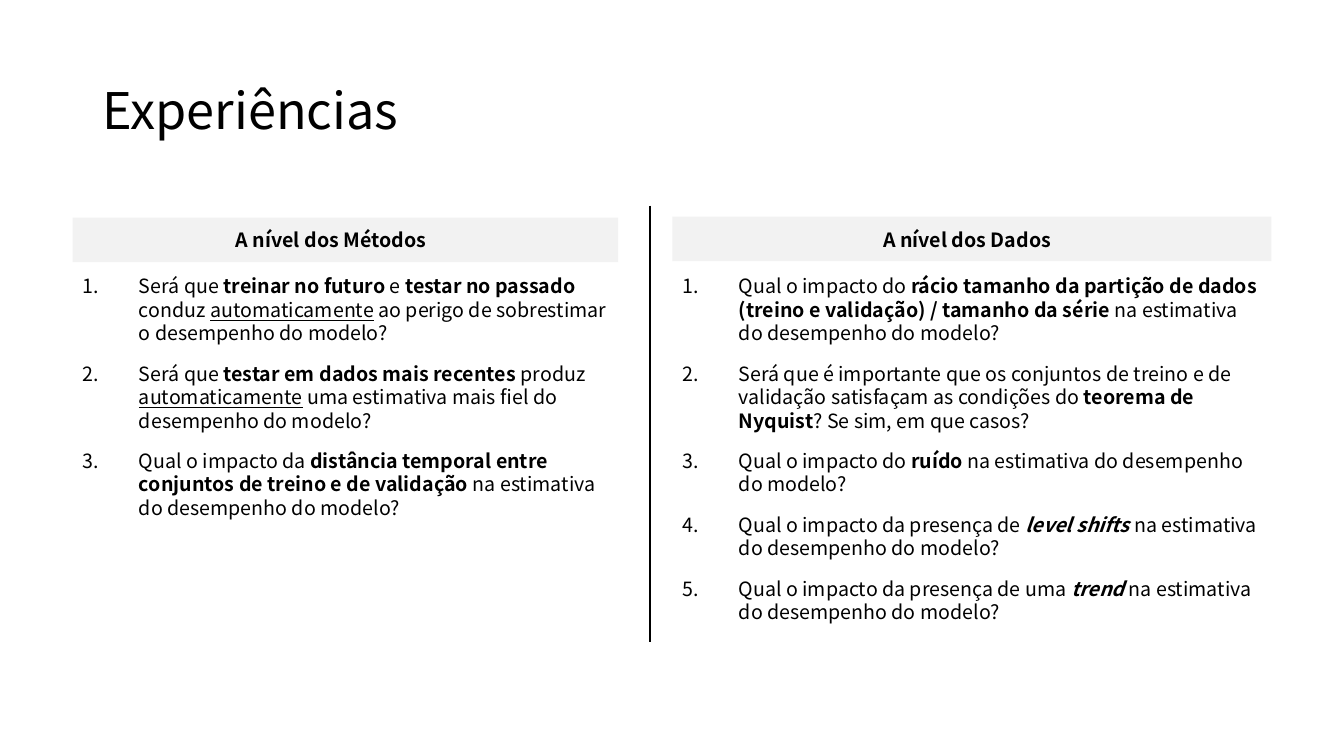
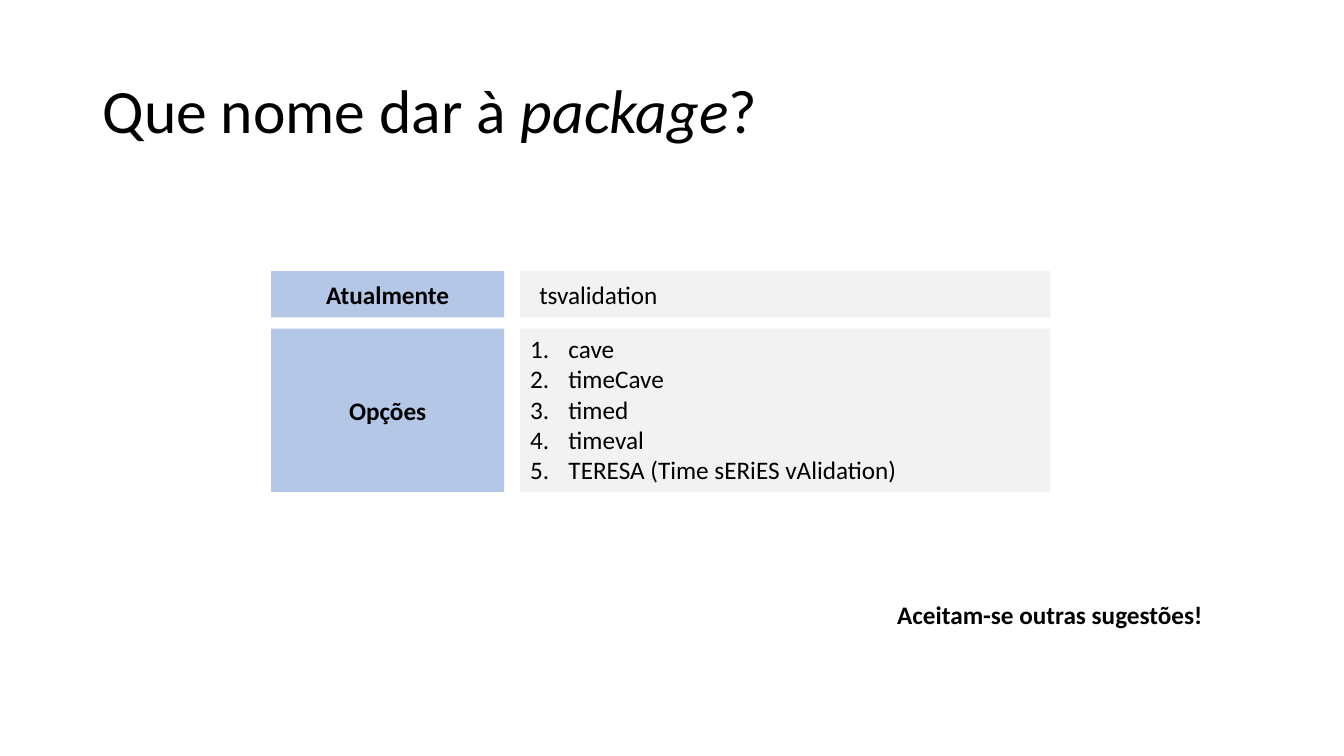
"""Builds two slides on time series validation: the experiments and the package name."""
from dataclasses import dataclass
from typing import Optional

from lxml.etree import SubElement
from pptx import Presentation
from pptx.dml.color import RGBColor
from pptx.enum.shapes import MSO_CONNECTOR, MSO_SHAPE
from pptx.enum.text import MSO_ANCHOR, MSO_AUTO_SIZE, PP_ALIGN
from pptx.oxml.ns import qn
from pptx.slide import Slide
from pptx.text.text import TextFrame
from pptx.util import Emu, Pt

EMU_PER_PX = 9144
COLORS = {"ink": "000000", "paper": "FFFFFF", "band": "F2F2F2", "label": "B4C7E7"}
NOTO, CALIBRI = "Noto Sans CJK TC", "Calibri"


@dataclass(frozen=True)
class Span:
    text: str
    bold: bool = False
    italic: bool = False
    underline: bool = False


@dataclass(frozen=True)
class Style:
    font: str
    size: int
    align: Optional[PP_ALIGN] = None
    line_spacing: Optional[float] = None
    space_after: int = 0
    number_indent: int = 0


@dataclass(frozen=True)
class Box:
    left: int
    top: int
    width: int
    height: int


@dataclass(frozen=True)
class Column:
    band: Box
    heading_box: Box
    heading: str
    questions_height: int
    questions: list[list[Span]]


@dataclass(frozen=True)
class NameRow:
    top: int
    height: int
    label: str


HEADING = Style(NOTO, 14)
QUESTION = Style(NOTO, 14, space_after=12, number_indent=56)
NAME = Style(CALIBRI, 18)
NUMBERED_NAME = Style(CALIBRI, 18, number_indent=38)
LABEL = Style(CALIBRI, 18, align=PP_ALIGN.CENTER)
TITLE_BOX = Box(92, 40, 1150, 145)
QUESTIONS_TOP = 267

METHODS = Column(Box(72, 216, 541, 44), Box(224, 221, 214, 34), "A nível dos Métodos", 296, [
    [Span("Será que "), Span("treinar no futuro", bold=True), Span(" e "),
     Span("testar no passado ", bold=True), Span("conduz "),
     Span("automaticamente", underline=True),
     Span(" ao perigo de sobrestimar o desempenho do modelo?")],
    [Span("Será que "), Span("testar em dados mais recentes ", bold=True), Span("produz "),
     Span("automaticamente", underline=True),
     Span(" uma estimativa mais fiel do desempenho do modelo?")],
    [Span("Qual o impacto da "),
     Span("distância temporal entre conjuntos de treino e de validação ", bold=True),
     Span("na estimativa do desempenho do modelo?")],
])
DATA = Column(Box(667, 215, 594, 44), Box(866, 221, 189, 34), "A nível dos Dados", 360, [
    [Span("Qual o impacto do "),
     Span("rácio tamanho da partição de dados (treino e validação) / tamanho da série ", bold=True),
     Span("na estimativa do desempenho do modelo?")],
    [Span("Será que é importante que os conjuntos de treino e de validação "
          "satisfaçam as condições do "),
     Span("teorema de Nyquist", bold=True), Span("? Se sim, em que casos?")],
    [Span("Qual o impacto do "), Span("ruído ", bold=True),
     Span("na estimativa do desempenho do modelo?")],
    [Span("Qual o impacto da presença de "), Span("level shifts ", bold=True, italic=True),
     Span("na estimativa do desempenho do modelo?")],
    [Span("Qual o impacto da presença de uma "), Span("trend ", bold=True, italic=True),
     Span("na estimativa do desempenho do modelo?")],
])

NAME_ROWS = [NameRow(269, 46, "Atualmente"), NameRow(326, 162, "Opções")]
OPTIONS = ["cave", "timeCave", "timed", "timeval", "TERESA (Time sERiES vAlidation)"]


def px(length: int) -> Emu:
    return Emu(length * EMU_PER_PX)


def place(box: Box) -> tuple[Emu, Emu, Emu, Emu]:
    return px(box.left), px(box.top), px(box.width), px(box.height)


def color(name: str) -> RGBColor:
    return RGBColor.from_string(COLORS[name])


def write(frame: TextFrame, paragraphs: list[list[Span]], style: Style) -> None:
    for index, spans in enumerate(paragraphs):
        paragraph = frame.add_paragraph() if index else frame.paragraphs[0]
        paragraph.alignment = style.align
        paragraph.line_spacing = style.line_spacing
        paragraph.space_after = Pt(style.space_after)
        if style.number_indent:
            properties = paragraph._p.get_or_add_pPr()
            properties.set("marL", str(px(style.number_indent)))
            properties.set("indent", str(-px(style.number_indent)))
            SubElement(properties, qn("a:buAutoNum"), type="arabicPeriod")
        for span in spans:
            run = paragraph.add_run()
            run.text = span.text
            run.font.name = style.font
            run.font.size = Pt(style.size)
            run.font.bold = span.bold
            run.font.italic = span.italic
            run.font.underline = span.underline
            run.font.color.rgb = color("ink")


def add_text(slide: Slide, box: Box, paragraphs: list[list[Span]], style: Style,
             wrap: bool = False) -> None:
    frame = slide.shapes.add_textbox(*place(box)).text_frame
    frame.word_wrap = wrap
    frame.auto_size = MSO_AUTO_SIZE.SHAPE_TO_FIT_TEXT
    write(frame, paragraphs, style)


def add_title(slide: Slide, spans: list[Span], font: str, size: int) -> None:
    frame = slide.shapes.add_textbox(*place(TITLE_BOX)).text_frame
    frame.word_wrap = True
    frame.vertical_anchor = MSO_ANCHOR.MIDDLE
    write(frame, [spans], Style(font, size, line_spacing=0.9))


def add_band(slide: Slide, box: Box, fill: str, label: str = "") -> None:
    band = slide.shapes.add_shape(MSO_SHAPE.RECTANGLE, *place(box))
    band.shadow.inherit = False
    band.fill.solid()
    band.fill.fore_color.rgb = color(fill)
    band.line.fill.background()
    if label:
        band.text_frame.vertical_anchor = MSO_ANCHOR.MIDDLE
        write(band.text_frame, [[Span(label, bold=True)]], LABEL)


def add_divider(slide: Slide, x: int, top: int, bottom: int) -> None:
    divider = slide.shapes.add_connector(
        MSO_CONNECTOR.STRAIGHT, px(x), px(top), px(x), px(bottom))
    divider.line.color.rgb = color("ink")
    divider.line.width = Pt(1.5)
    SubElement(divider._element.spPr, qn("a:effectLst"))


def add_column(slide: Slide, column: Column) -> None:
    add_band(slide, column.band, "band")
    add_text(slide, column.heading_box, [[Span(column.heading, bold=True)]], HEADING)
    questions_box = Box(column.band.left, QUESTIONS_TOP, column.band.width,
                        column.questions_height)
    add_text(slide, questions_box, column.questions, QUESTION, wrap=True)


def build_experiments(slide: Slide) -> None:
    add_title(slide, [Span("Experiências")], NOTO, 36)
    for column in (METHODS, DATA):
        add_column(slide, column)
    add_divider(slide, 645, 204, 637)


def build_package_name(slide: Slide) -> None:
    add_title(slide, [Span("Que nome dar à "), Span("package", italic=True), Span("?")],
              CALIBRI, 44)
    for row in NAME_ROWS:
        add_band(slide, Box(269, row.top, 231, row.height), "label", row.label)
        add_band(slide, Box(516, row.top, 526, row.height), "band")
    add_text(slide, Box(525, 272, 139, 40), [[Span("tsvalidation")]], NAME)
    add_text(slide, Box(516, 326, 392, 162), [[Span(option)] for option in OPTIONS],
             NUMBERED_NAME)
    add_text(slide, Box(880, 590, 325, 40),
             [[Span("Aceitam-se outras sugestões!", bold=True)]], NAME)


def main() -> None:
    deck = Presentation()
    deck.slide_width, deck.slide_height = px(1333), px(750)
    for build in (build_experiments, build_package_name):
        slide = deck.slides.add_slide(deck.slide_layouts[6])
        slide.background.fill.solid()
        slide.background.fill.fore_color.rgb = color("paper")
        build(slide)
    deck.save("out.pptx")


if __name__ == "__main__":
    main()
